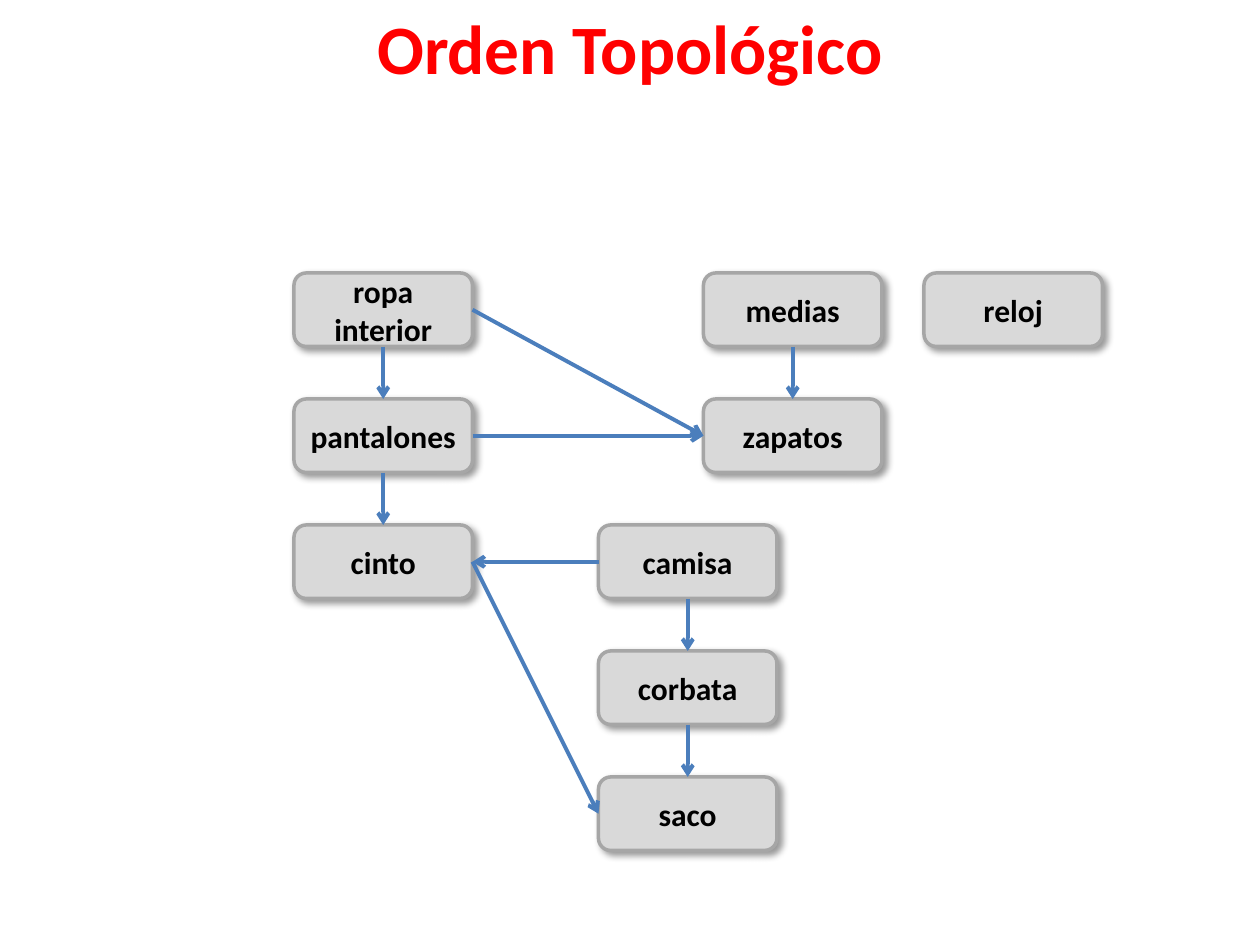
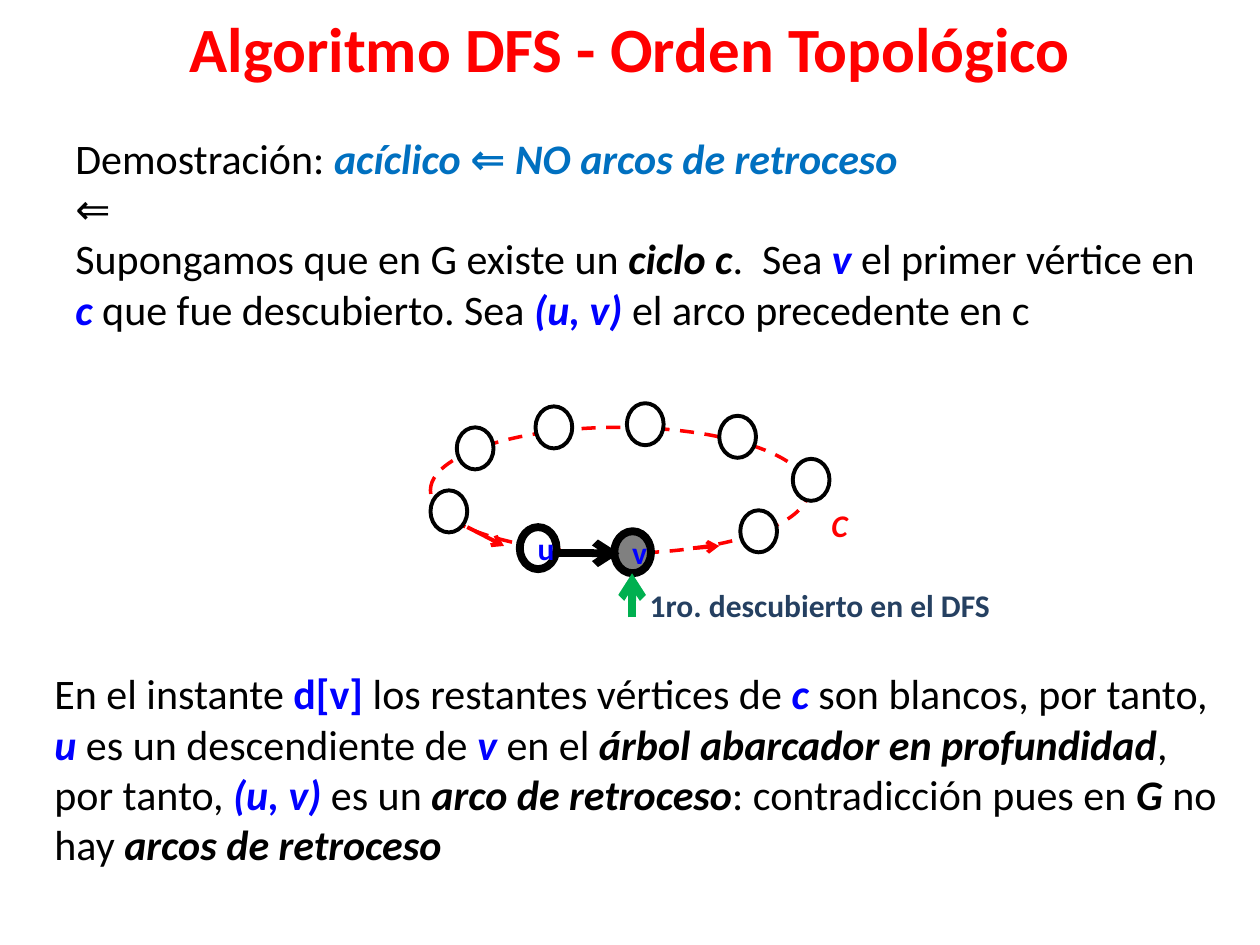
from lxml import etree
from pptx import Presentation
from pptx import util as u
from pptx.dml.color import RGBColor
from pptx.enum import dml, shapes, text
from pptx.oxml import ns

THEME = {
    "font": "Calibri",
    "colour": {
        "title": "FF0000", "ink": "000000", "accent": "0070C0", "symbol": "0000FF",
        "note": "254061", "box": "D9D9D9", "border": "A6A6A6", "edge": "4B7EBC",
        "cycle": "FF0000", "first": "00B050", "white": "FFFFFF", "visited": "808080",
    },
    "size": {"body": 24, "label": 18},
    "line": {"thin": 2, "normal": 2.25, "thick": 4.5},
}
# style name: colour, bold, italic
STYLES = {
    "plain": ("ink", False, False),
    "label": ("ink", True, False),
    "strong": ("ink", True, True),
    "claim": ("accent", True, True),
    "implies": ("accent", True, False),
    "symbol": ("symbol", True, True),
    "time": ("symbol", True, False),
    "note": ("note", True, False),
    "cycle": ("cycle", True, True),
    "title": ("title", True, False),
}
PX = u.Inches(1) // 120
SLIDE = (1200, 900)
TITLE_BOX = (30, 0, 1140, 90)

# Slide 1: garment: (left, row)
GARMENTS = {
    "ropa interior": (280, 0), "pantalones": (280, 1), "cinto": (280, 2),
    "camisa": (570, 2), "corbata": (570, 3), "saco": (570, 4),
    "medias": (670, 0), "zapatos": (670, 1), "reloj": (880, 0),
}
BOX_SIZE = (170, 70)
FIRST_ROW, ROW_STEP = 260, 120
TOP, LEFT, BOTTOM, RIGHT = range(4)
PRECEDENCES = [
    ("ropa interior", BOTTOM, "pantalones", TOP),
    ("pantalones", BOTTOM, "cinto", TOP),
    ("camisa", BOTTOM, "corbata", TOP),
    ("corbata", BOTTOM, "saco", TOP),
    ("medias", BOTTOM, "zapatos", TOP),
    ("pantalones", RIGHT, "zapatos", LEFT),
    ("ropa interior", RIGHT, "zapatos", LEFT),
    ("camisa", LEFT, "cinto", RIGHT),
    ("cinto", RIGHT, "saco", LEFT),
]

# Slide 2
HYPOTHESIS = [
    [("Demostración: ", "plain"), ("acíclico ", "claim"), ("⇐ ", "implies"),
     ("NO arcos de retroceso", "claim")],
    [("⇐", "plain")],
    [("Supongamos que en G existe un ", "plain"), ("ciclo c", "strong"),
     (".  Sea ", "plain"), ("v ", "symbol"), ("el primer vértice en ", "plain"),
     ("c", "symbol"), (" que fue descubierto. Sea ", "plain"), ("(u, v) ", "symbol"),
     ("el arco precedente en c", "plain")],
]
CONCLUSION = [
    [("En el instante ", "plain"), ("d[v]", "time"),
     (" los restantes vértices de ", "plain"), ("c", "symbol"),
     (" son blancos, por tanto, ", "plain"), ("u", "symbol"),
     (" es un descendiente de ", "plain"), ("v", "symbol"), (" en el ", "plain"),
     ("árbol abarcador en profundidad", "strong"), (", por tanto, ", "plain"),
     ("(u, v) ", "symbol"), ("es un ", "plain"), ("arco de retroceso", "strong"),
     (": contradicción pues en ", "plain"), ("G ", "strong"), ("no hay ", "plain"),
     ("arcos de retroceso", "strong")],
]
TEXTS = [
    (HYPOTHESIS, (60, 120, 1100, 206), "body"),
    ([[("1ro. descubierto en el DFS", "note")]], (607, 552, 383, 48), "label"),
    ([[("C", "cycle")]], (780, 476, 90, 48), "label"),
    (CONCLUSION, (40, 630, 1140, 254), "body"),
]
CYCLE = (410, 407, 360, 120)
VERTEX_SIZE = (35, 40)
VERTEX_V, VERTEX_U = (585, 506), (495, 502)
PLAIN_VERTICES = [(705, 486), (755, 437), (685, 396), (597, 384), (510, 387),
                  (435, 407), (410, 467)]
ARROWS = [
    ((660, 522), (685, 520), "cycle", "normal"),
    ((445, 502), (480, 520), "cycle", "normal"),
    ((515, 527), (590, 527), "ink", "thick"),
    ((602, 588), (602, 546), "first", "thick"),
]


def px(values):
    return [v * PX for v in values]


def rgb(name):
    return RGBColor.from_string(THEME["colour"][name])


def set_line(line, colour, width, dash=None):
    line.color.rgb = rgb(colour)
    line.width = u.Pt(THEME["line"][width])
    if dash:
        line.dash_style = dash


def write(tf, paragraphs, size, align=text.PP_ALIGN.LEFT):
    """Fill a text frame with paragraphs of (words, style) runs."""
    for i, runs in enumerate(paragraphs):
        p = tf.paragraphs[0] if i == 0 else tf.add_paragraph()
        p.alignment = align
        for words, style in runs:
            colour, bold, italic = STYLES[style]
            r = p.add_run()
            r.text = words
            r.font.color.rgb = rgb(colour)
            fmt = {"name": THEME["font"], "size": u.Pt(size), "bold": bold, "italic": italic}
            for key, value in fmt.items():
                setattr(r.font, key, value)


def add_slide(prs, title, size):
    slide = prs.slides.add_slide(prs.slide_layouts[5])
    sp = slide.shapes.title
    sp.left, sp.top, sp.width, sp.height = px(TITLE_BOX)
    tf = sp.text_frame
    fmt = {"vertical_anchor": text.MSO_ANCHOR.MIDDLE, "word_wrap": True,
           "auto_size": text.MSO_AUTO_SIZE.NONE}
    for key, value in fmt.items():
        setattr(tf, key, value)
    write(tf, [[(title, "title")]], size, text.PP_ALIGN.CENTER)
    return slide


def add_figure(slide, kind, box, fill, line, words="", style="label"):
    sp = slide.shapes.add_shape(kind, *px(box))
    sp.shadow.inherit = False
    if fill:
        sp.fill.solid()
        sp.fill.fore_color.rgb = rgb(fill)
    else:
        sp.fill.background()
    set_line(sp.line, *line)
    if words:
        sp.text_frame.vertical_anchor = text.MSO_ANCHOR.MIDDLE
        write(sp.text_frame, [[(words, style)]], THEME["size"]["label"],
              text.PP_ALIGN.CENTER)
    return sp


def add_vertex(slide, corner, fill="white", width="normal", words=""):
    add_figure(slide, shapes.MSO_SHAPE.OVAL, corner + VERTEX_SIZE, fill,
               ("ink", width), words, "time")


def add_arrow(slide, start, end, colour, width):
    c = slide.shapes.add_connector(shapes.MSO_CONNECTOR.STRAIGHT, *px(start + end))
    set_line(c.line, colour, width)
    sppr = c.element.spPr
    etree.SubElement(sppr.find(ns.qn("a:ln")), ns.qn("a:tailEnd"), type="arrow")
    etree.SubElement(sppr, ns.qn("a:effectLst"))
    return c


def cast_shadow(sp):
    effects = sp.element.spPr.find(ns.qn("a:effectLst"))
    shadow = etree.SubElement(effects, ns.qn("a:outerShdw"), blurRad=str(u.Pt(4)),
                              dist=str(u.Pt(3)), dir=str(45 * 60000),
                              algn="tl", rotWithShape="0")
    colour = etree.SubElement(shadow, ns.qn("a:srgbClr"), val=THEME["colour"]["ink"])
    etree.SubElement(colour, ns.qn("a:alpha"), val="40000")


def build_garments(prs):
    slide = add_slide(prs, "Orden Topológico", 39.6)
    boxes = {}
    for name, (left, row) in GARMENTS.items():
        box = (left, FIRST_ROW + row * ROW_STEP) + BOX_SIZE
        boxes[name] = add_figure(slide, shapes.MSO_SHAPE.ROUNDED_RECTANGLE, box, "box",
                                 ("border", "thin"), name)
        cast_shadow(boxes[name])
    for before, out_side, after, in_side in PRECEDENCES:
        c = add_arrow(slide, (0, 0), (0, 0), "edge", "normal")
        c.begin_connect(boxes[before], out_side)
        c.end_connect(boxes[after], in_side)


def build_proof(prs):
    slide = add_slide(prs, "Algoritmo DFS - Orden Topológico", 36)
    add_figure(slide, shapes.MSO_SHAPE.OVAL, CYCLE, None,
               ("cycle", "thin", dml.MSO_LINE.DASH))
    add_vertex(slide, VERTEX_V, "visited", "thick", "v")
    for arrow in ARROWS:
        add_arrow(slide, *arrow)
    add_vertex(slide, VERTEX_U, width="thick", words="u")
    for corner in PLAIN_VERTICES:
        add_vertex(slide, corner)
    for paragraphs, box, size in TEXTS:
        tf = slide.shapes.add_textbox(*px(box)).text_frame
        tf.word_wrap = True
        write(tf, paragraphs, THEME["size"][size])


def main():
    prs = Presentation()
    prs.slide_width, prs.slide_height = px(SLIDE)
    build_garments(prs)
    build_proof(prs)
    prs.save("out.pptx")


if __name__ == "__main__":
    main()
